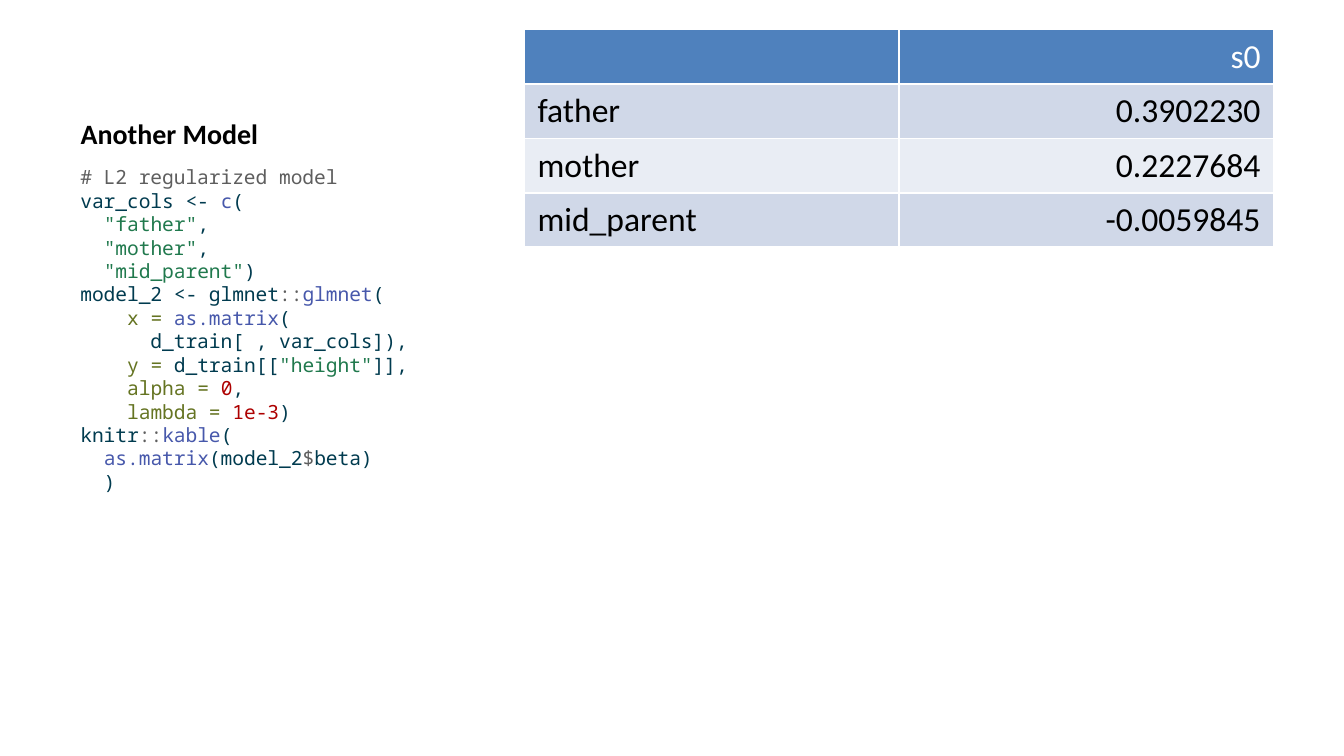
from pptx import Presentation
from pptx.dml.color import RGBColor
from pptx.enum.text import MSO_ANCHOR, PP_ALIGN
from pptx.oxml import parse_xml
from pptx.oxml.ns import nsdecls
from pptx.util import Inches, Pt

# Colours
BLACK = RGBColor(0x00, 0x00, 0x00)
WHITE = RGBColor(0xFF, 0xFF, 0xFF)
HEADER_BLUE = RGBColor(0x4F, 0x81, 0xBD)
BAND_DARK = RGBColor(0xD0, 0xD8, 0xE8)
BAND_LIGHT = RGBColor(0xE9, 0xED, 0xF4)
COMMENT = RGBColor(0x5E, 0x5E, 0x5E)
PLAIN = RGBColor(0x00, 0x3B, 0x4F)
FUNCTION = RGBColor(0x47, 0x58, 0xAB)
STRING = RGBColor(0x20, 0x79, 0x4D)
ARGUMENT = RGBColor(0x65, 0x74, 0x22)
NUMBER = RGBColor(0xAD, 0x00, 0x00)

# Content
TITLE = "Another Model"
CODE_LINES = [
    [("# L2 regularized model", COMMENT)],
    [("var_cols <- ", PLAIN), ("c", FUNCTION), ("(", PLAIN)],
    [("  ", PLAIN), ('"father"', STRING), (", ", PLAIN)],
    [("  ", PLAIN), ('"mother"', STRING), (", ", PLAIN)],
    [("  ", PLAIN), ('"mid_parent"', STRING), (")", PLAIN)],
    [("model_2 <- glmnet", PLAIN), ("::", COMMENT), ("glmnet", FUNCTION), ("(", PLAIN)],
    [("    ", PLAIN), ("x = ", ARGUMENT), ("as.matrix", FUNCTION), ("(", PLAIN)],
    [("      d_train[ , var_cols]),", PLAIN)],
    [("    ", PLAIN), ("y =", ARGUMENT), (" d_train[[", PLAIN),
     ('"height"', STRING), ("]], ", PLAIN)],
    [("    ", PLAIN), ("alpha = ", ARGUMENT), ("0", NUMBER), (", ", PLAIN)],
    [("    ", PLAIN), ("lambda = ", ARGUMENT), ("1e-3", NUMBER), (") ", PLAIN)],
    [("knitr", PLAIN), ("::", COMMENT), ("kable", FUNCTION), ("(", PLAIN)],
    [("  ", PLAIN), ("as.matrix", FUNCTION), ("(model_2", PLAIN),
     ("$", COMMENT), ("beta)", PLAIN)],
    [("  )", PLAIN)],
]
COEFFICIENTS = [
    ("", "s0"),
    ("father", "0.3902230"),
    ("mother", "0.2227684"),
    ("mid_parent", "-0.0059845"),
]

# Layout, in inches; the page is 16:9
PAGE_WIDTH = 10
PAGE_HEIGHT = PAGE_WIDTH * 9 / 16
LEFT, TOP, TEXT_WIDTH = 0.5, 0.22, 3.29
TITLE_HEIGHT, CODE_TOP, CODE_HEIGHT = 0.95, 1.18, 3.85
TABLE_LEFT, TABLE_WIDTH, TABLE_HEIGHT = 3.9, 5.58, 1.62

# Text formats
TITLE_FONT = {"name": "Calibri", "size": Pt(15), "bold": True}
CODE_FONT = {"name": "Noto Sans Mono", "size": Pt(10.5)}
TABLE_FONT = {"name": "Calibri", "size": Pt(18), "bold": False}


def set_font(font, values, colour):
    for name, value in values.items():
        setattr(font, name, value)
    font.color.rgb = colour


def add_borders(cell, colour, width):
    properties = cell._tc.get_or_add_tcPr()
    for index, side in enumerate(("lnL", "lnR", "lnT", "lnB")):
        line = parse_xml(f'<a:{side} {nsdecls("a")} w="{width}"><a:solidFill>'
                         f'<a:srgbClr val="{colour}"/></a:solidFill></a:{side}>')
        properties.insert(index, line)


def add_title(page):
    title = page.shapes.title
    title.left, title.top = Inches(LEFT), Inches(TOP)
    title.width, title.height = Inches(TEXT_WIDTH), Inches(TITLE_HEIGHT)
    frame = title.text_frame
    frame.text = TITLE
    frame.vertical_anchor = MSO_ANCHOR.BOTTOM
    para = frame.paragraphs[0]
    para.alignment = PP_ALIGN.LEFT
    set_font(para.runs[0].font, TITLE_FONT, BLACK)


def add_code(page):
    box = page.shapes.add_textbox(Inches(LEFT), Inches(CODE_TOP),
                                  Inches(TEXT_WIDTH), Inches(CODE_HEIGHT))
    box.text_frame.word_wrap = True
    para = box.text_frame.paragraphs[0]
    para.line_spacing = Pt(12.55)
    for number, line in enumerate(CODE_LINES):
        if number:
            para.add_line_break()
        for text, colour in line:
            span = para.add_run()
            span.text = text
            set_font(span.font, CODE_FONT, colour)


def add_coefficients(page):
    table = page.shapes.add_table(
        len(COEFFICIENTS), len(COEFFICIENTS[0]), Inches(TABLE_LEFT), Inches(TOP),
        Inches(TABLE_WIDTH), Inches(TABLE_HEIGHT)).table
    for row, values in enumerate(COEFFICIENTS):
        if row == 0:
            fill, colour = HEADER_BLUE, WHITE
        else:
            fill, colour = (BAND_DARK if row % 2 else BAND_LIGHT), BLACK
        for column, value in enumerate(values):
            cell = table.cell(row, column)
            cell.fill.solid()
            cell.fill.fore_color.rgb = fill
            add_borders(cell, WHITE, Pt(1))
            para = cell.text_frame.paragraphs[0]
            para.alignment = PP_ALIGN.RIGHT if column else PP_ALIGN.LEFT
            if value:
                span = para.add_run()
                span.text = value
                set_font(span.font, TABLE_FONT, colour)


def main():
    deck = Presentation()
    deck.slide_width, deck.slide_height = Inches(PAGE_WIDTH), Inches(PAGE_HEIGHT)
    page = deck.slides.add_slide(deck.slide_layouts.get_by_name("Title Only"))
    add_title(page)
    add_code(page)
    add_coefficients(page)
    deck.save("out.pptx")


if __name__ == "__main__":
    main()
